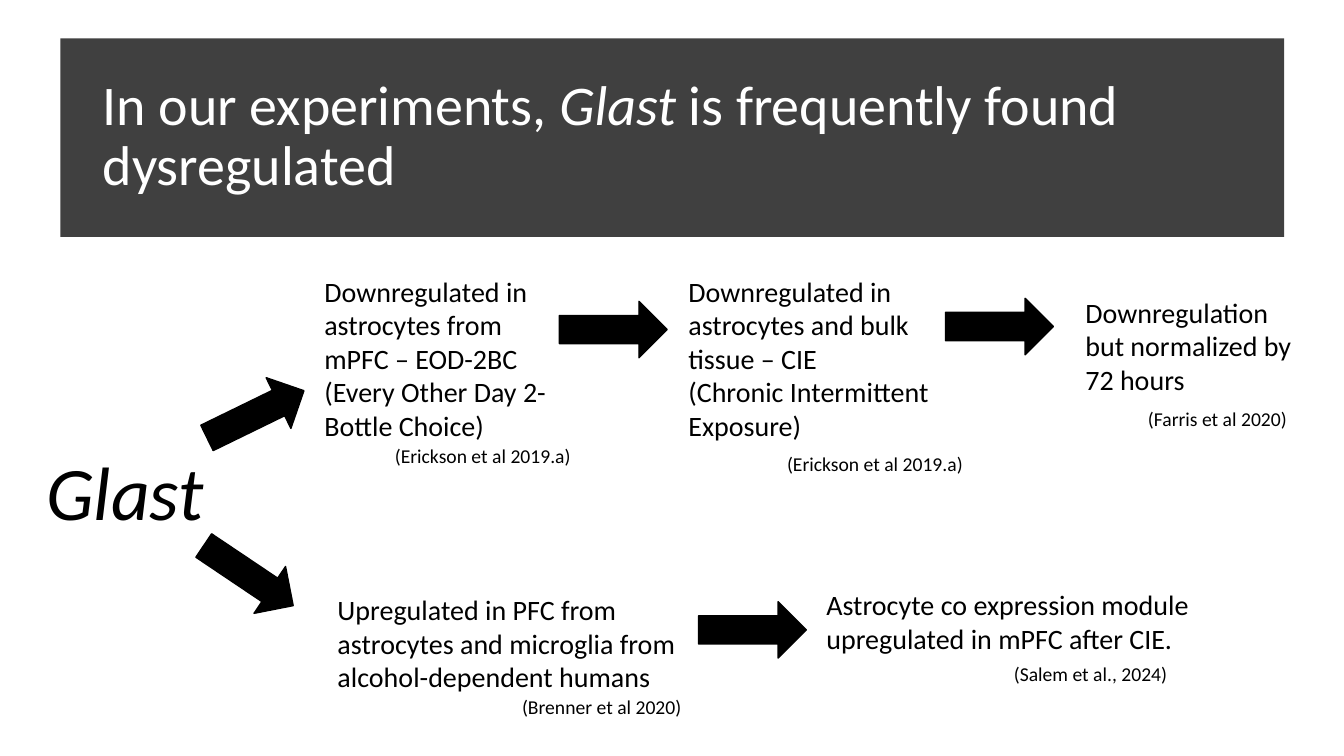
from pptx import Presentation
from pptx.dml.color import RGBColor
from pptx.enum.shapes import MSO_SHAPE
from pptx.enum.text import MSO_ANCHOR, MSO_AUTO_SIZE, PP_ALIGN
from pptx.util import Pt

BLACK = RGBColor(0x00, 0x00, 0x00)
WHITE = RGBColor(0xFF, 0xFF, 0xFF)
CHARCOAL = RGBColor(0x40, 0x40, 0x40)
FONT = "Calibri"


def write(p, text, size=20, color=BLACK, italic=False):
    """Add one formatted run to a paragraph."""
    r = p.add_run()
    r.text = text
    r.font.name = FONT
    r.font.size = Pt(size)
    r.font.color.rgb = color
    r.font.italic = italic


class GeneSlide:
    """Style and drawing methods for the current slide."""

    arrow_size = (77, 40.3)
    title_size, gene_size, cite_size = 40, 54, 14

    def __init__(self, prs):
        self.slide = prs.slides.add_slide(prs.slide_layouts[5])
        self.shapes = self.slide.shapes

    def shape(self, kind, x, y, w, h, fill):
        sp = self.shapes.add_shape(kind, Pt(x), Pt(y), Pt(w), Pt(h))
        sp.shadow.inherit = False
        sp.fill.solid()
        sp.fill.fore_color.rgb = fill
        sp.line.fill.background()
        return sp

    def title(self, x, y, w, h, runs):
        sp = self.shapes.title
        sp.left, sp.top, sp.width, sp.height = Pt(x), Pt(y), Pt(w), Pt(h)
        # Bring the title in front of the banner
        self.shapes._spTree.append(sp._element)
        tf = sp.text_frame
        tf.word_wrap = True
        tf.auto_size = MSO_AUTO_SIZE.NONE
        tf.vertical_anchor = MSO_ANCHOR.MIDDLE
        p = tf.paragraphs[0]
        p.alignment = PP_ALIGN.LEFT
        p.line_spacing = 0.9
        for text, italic in runs:
            write(p, text, size=self.title_size, color=WHITE, italic=italic)

    def text(self, x, y, w, h, *lines, wrap=True, align=PP_ALIGN.LEFT, **fmt):
        tf = self.shapes.add_textbox(Pt(x), Pt(y), Pt(w), Pt(h)).text_frame
        tf.word_wrap = wrap
        for i, line in enumerate(lines):
            p = tf.add_paragraph() if i else tf.paragraphs[0]
            p.alignment = align
            write(p, line, **fmt)

    def citation(self, x, y, w, text, h=46, align=PP_ALIGN.LEFT):
        self.text(x, y, w, h, text, wrap=False, align=align, size=self.cite_size)

    def arrow(self, x, y, angle=0):
        sp = self.shape(MSO_SHAPE.RIGHT_ARROW, x, y, *self.arrow_size, BLACK)
        sp.line.color.rgb = BLACK
        sp.line.width = Pt(1)
        sp.rotation = angle


def main():
    prs = Presentation()
    prs.slide_width, prs.slide_height = Pt(960), Pt(540)
    s = GeneSlide(prs)

    # Title banner
    s.shape(MSO_SHAPE.RECTANGLE, 43.2, 27.4, 874, 141.8, CHARCOAL)
    s.title(66.2, 46, 828, 104.4, [
        ("In our experiments, ", False),
        ("Glast", True),
        (" is frequently found dysregulated", False),
    ])

    # Gene and its findings
    s.text(25.2, 314, 128.2, 72.7, "Glast", wrap=False,
           align=PP_ALIGN.CENTER, size=s.gene_size, italic=True)
    s.text(224.6, 192.2, 184.3, 128.2,
           "Downregulated in astrocytes from mPFC – EOD-2BC",
           "(Every Other Day 2-Bottle Choice)")
    s.text(484.6, 192.2, 208, 128.2,
           "Downregulated in astrocytes and bulk tissue – CIE",
           "(Chronic Intermittent Exposure)")
    s.text(768.2, 207.4, 170.6, 80,
           "Downregulation but normalized by 72 hours")
    s.text(234, 419.8, 273.6, 80,
           "Upregulated in PFC from astrocytes and microglia "
           "from alcohol-dependent humans")
    s.text(583.2, 416.2, 273.6, 55.4,
           "Astrocyte co expression module upregulated in mPFC after CIE.")

    # Arrows between findings
    for x, y, angle in [(144, 275.8, -26), (399.6, 215.3, 0), (675.4, 213.1, 0),
                        (139, 391, 33.9), (499, 429.8, 0)]:
        s.arrow(x, y, angle)

    # Citations
    s.citation(275, 313.2, 141.1, "(Erickson et al 2019.a)")
    s.citation(555.1, 319, 141.1, "(Erickson et al 2019.a)")
    s.citation(812.9, 287.3, 114.5, "(Farris et al 2020)")
    s.citation(365.8, 492.5, 129.6, "(Brenner et al 2020)", h=24.5,
               align=PP_ALIGN.JUSTIFY)
    s.citation(717.1, 469.4, 125.3, "(Salem et al., 2024)")

    prs.save("out.pptx")


if __name__ == "__main__":
    main()
